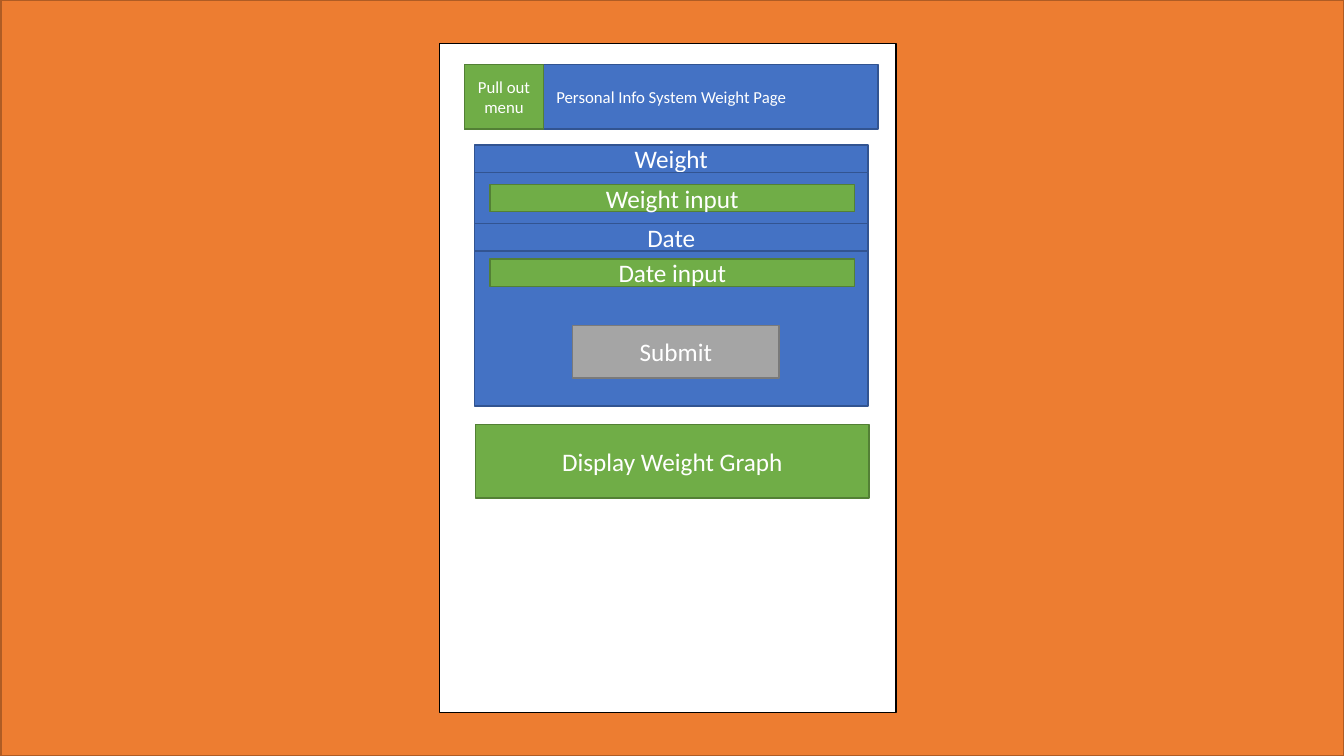
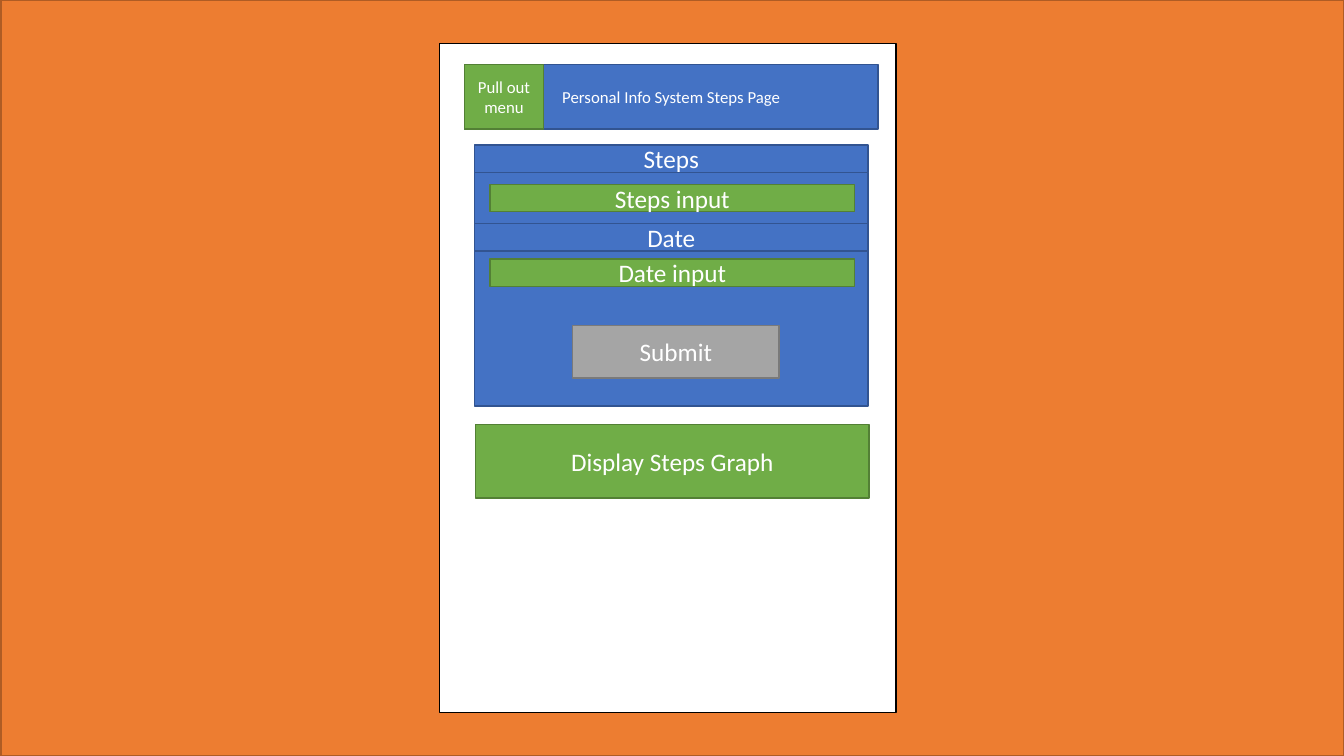
from pptx import Presentation
from pptx.dml.color import RGBColor as Rgb
from pptx.enum.shapes import MSO_SHAPE as Kind
from pptx.enum.text import MSO_ANCHOR as Anchor, PP_ALIGN as Align
from pptx.util import Inches, Pt

CELL = Inches(0.1)
COLS, ROWS = 133.33, 75
FONT = "Calibri"
FILL = {"back": "ED7D31", "page": "FFFFFF", "blue": "4472C4",
        "green": "70AD47", "gray": "A5A5A5"}
EDGE = {"back": "AF5C24", "page": "000000", "blue": "325491",
        "green": "538035", "gray": "7A7A7A"}
TEXT = "FFFFFF"


def within(box, x, y, wide, high):
    """Return a box placed in cells from the corner of another box."""
    return box[0] + x, box[1] + y, wide, high


def write(shape, text, size=18, color=TEXT, align=Align.CENTER):
    """Put formatted text in the middle of a shape."""
    frame = shape.text_frame
    frame.word_wrap = True
    frame.vertical_anchor = Anchor.MIDDLE
    line = frame.paragraphs[0]
    line.alignment = align
    run = line.add_run()
    run.text = text
    run.font.name = FONT
    run.font.size = Pt(size)
    run.font.color.rgb = Rgb.from_string(color)


def block(slide, box, tone, text="", **style):
    """Draw one outlined rectangle with optional text."""
    shape = slide.shapes.add_shape(
        Kind.RECTANGLE, *(round(side * CELL) for side in box))
    shape.shadow.inherit = False
    shape.fill.solid()
    shape.fill.fore_color.rgb = Rgb.from_string(FILL[tone])
    shape.line.color.rgb = Rgb.from_string(EDGE[tone])
    shape.line.width = Pt(1)
    if text:
        write(shape, text, **style)


def header(slide, box, topic):
    """Draw the title bar with the menu button at its left end."""
    block(slide, box, "blue", f"Personal Info System {topic} Page", size=12)
    block(slide, within(box, 0, 0, 7.8, box[3]), "green", "Pull out menu", size=12)


def form(slide, box, topic):
    """Draw the labelled inputs and the submit button."""
    wide, high = box[2:]
    bar = 2.7

    def label(y, text):
        """Draw a full-width field label."""
        block(slide, within(box, 0, y, wide, bar), "blue", text)

    def field(y, text):
        """Draw an inset input field."""
        block(slide, within(box, 1.5, y, 36.2, bar), "green", f"{text} input")

    label(0, topic)
    block(slide, within(box, 0, bar, wide, high - bar), "blue")
    field(3.9, topic)
    label(7.8, "Date")
    field(11.3, "Date")
    block(slide, within(box, 9.7, 17.9, 20.5, 5.2), "gray", "Submit")


def screen(slide, box, topic):
    """Draw one phone screen for a topic."""
    block(slide, box, "page")
    form(slide, within(box, 3.5, 10.1, 39, 25.9), topic)
    header(slide, within(box, 2.5, 2.1, 41, 6.4), topic)
    block(slide, within(box, 3.6, 37.8, 39, 7.3), "green",
          f"Display {topic} Graph")


def main():
    """Build and save the deck."""
    deck = Presentation()
    deck.slide_width = round(COLS * CELL)
    deck.slide_height = ROWS * CELL
    for topic in ("Weight", "Steps"):
        slide = deck.slides.add_slide(deck.slide_layouts[6])
        block(slide, (0.1, 0, COLS - 0.1, ROWS), "back")
        screen(slide, (43.6, 4.3, 45.3, 66.4), topic)
    deck.save("out.pptx")


if __name__ == "__main__":
    main()
